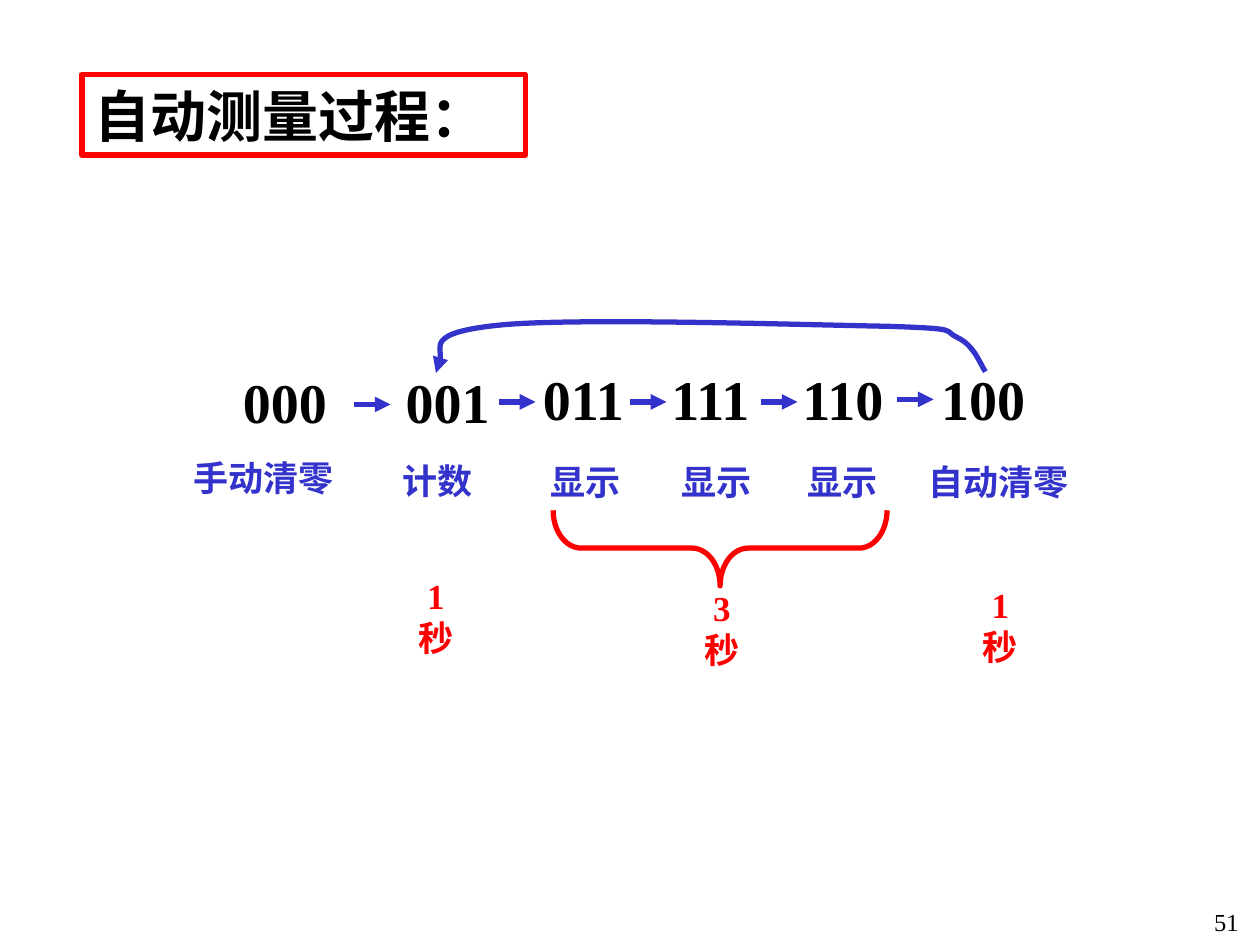
from pptx import Presentation
from pptx.dml.color import RGBColor
from pptx.enum import shapes, text
from pptx.oxml.ns import qn
from pptx.util import Inches, Pt
from lxml import etree

THEME = {
    "font": "Times New Roman",
    "black": RGBColor(0x00, 0x00, 0x00),
    "blue": RGBColor(0x33, 0x33, 0xCC),
    "red": RGBColor(0xFF, 0x00, 0x00),
    "code": 32, "label": 20, "number": 14, "line": 3,
}

# Content
TITLE = "自动测量过程："
PAGE_NUMBER = "51"
# code, code left, code top, label, label left, label top
STATES = [
    ("000", 1.83, 2.86, "手动清零", 1.44, 3.57),
    ("001", 3.12, 2.86, "计数", 3.10, 3.59),
    ("011", 4.21, 2.84, "显示", 4.27, 3.60),
    ("111", 5.23, 2.84, "显示", 5.31, 3.60),
    ("110", 6.27, 2.84, "显示", 6.31, 3.60),
    ("100", 7.37, 2.84, "自动清零", 7.27, 3.60),
]
ARROWS = [(2.81, 3.21), (3.96, 3.19), (5.00, 3.19), (6.04, 3.19), (7.12, 3.17)]
ARROW_LENGTH = 0.29
# text, centre, top
DURATIONS = [("1秒", 3.46, 4.51), ("3秒", 5.73, 4.60), ("1秒", 7.94, 4.58)]
DURATION_WIDTH = 0.6
# Start point, then three Bézier points for each curve
LOOP = [
    (3.46, 2.96),
    (3.54, 2.90), (3.37, 2.64), (3.97, 2.58),
    (4.57, 2.52), (6.44, 2.58), (7.04, 2.59),
    (7.65, 2.61), (7.47, 2.62), (7.60, 2.68),
    (7.73, 2.74), (7.78, 2.89), (7.82, 2.95),
]


def write(box, words, size, color, bold=True, align=text.PP_ALIGN.LEFT,
          anchor=text.MSO_ANCHOR.MIDDLE):
    frame = box.text_frame
    frame.text = words
    frame.word_wrap = True
    frame.auto_size = text.MSO_AUTO_SIZE.NONE
    frame.vertical_anchor = anchor
    paragraph = frame.paragraphs[0]
    paragraph.alignment = align
    font = paragraph.runs[0].font
    font.name, font.size, font.bold = THEME["font"], Pt(THEME[size]), bold
    font.color.rgb = THEME[color]


def add_text(page, place, *args, **options):
    box = page.shapes.add_textbox(*map(Inches, place))
    write(box, *args, **options)


def outline(shape, color, arrow_end=None):
    shape.line.color.rgb = THEME[color]
    shape.line.width = Pt(THEME["line"])
    if arrow_end:
        etree.SubElement(shape.line._get_or_add_ln(), qn(f"a:{arrow_end}"), type="triangle")


def add_arrow(page, left, top):
    arrow = page.shapes.add_connector(
        shapes.MSO_CONNECTOR.STRAIGHT, Inches(left), Inches(top),
        Inches(left + ARROW_LENGTH), Inches(top))
    outline(arrow, "blue", "tailEnd")
    etree.SubElement(arrow._element.spPr, qn("a:effectLst"))


def add_loop(page, points):
    start, *rest = [(Inches(x), Inches(y)) for x, y in points]
    builder = page.shapes.build_freeform(*start)
    builder.add_line_segments(rest, close=False)
    loop = builder.convert_to_shape()
    loop.shadow.inherit = False
    loop.fill.background()
    outline(loop, "blue", "headEnd")
    # Turn every three line segments into one cubic curve
    lines = list(loop._element.iter(qn("a:lnTo")))
    for first in range(0, len(lines), 3):
        curve = etree.Element(qn("a:cubicBezTo"))
        lines[first].addprevious(curve)
        for line in lines[first:first + 3]:
            curve.append(line[0])
            line.getparent().remove(line)


def add_brace(page, left, top, width, height):
    # Drawn upright around the same centre, then turned to point down
    brace = page.shapes.add_shape(
        shapes.MSO_SHAPE.LEFT_BRACE,
        Inches(left + (width - height) / 2), Inches(top + (height - width) / 2),
        Inches(height), Inches(width))
    brace.rotation = 270
    brace.adjustments[0] = 0.37
    brace.shadow.inherit = False
    brace.fill.background()
    outline(brace, "red")


def main():
    deck = Presentation()
    deck.slide_width, deck.slide_height = Inches(10), Inches(7.5)
    page = deck.slides.add_slide(deck.slide_layouts[5])

    # Title
    title = page.shapes.title
    title.left, title.top, title.width, title.height = map(Inches, (0.65, 0.59, 3.52, 0.64))
    write(title, TITLE, "code", "black")
    outline(title, "red")

    # States and their labels
    for code, left, top, label, label_left, label_top in STATES:
        add_text(page, (left, top, 1.08, 0.64), code, "code", "black")
        add_text(page, (label_left, label_top, 1.56, 0.44), label, "label", "blue")

    # Steps and the way back
    for left, top in ARROWS:
        add_arrow(page, left, top)
    add_loop(page, LOOP)

    # Durations
    add_brace(page, 4.39, 4.05, 2.65, 0.6)
    for words, centre, top in DURATIONS:
        place = (centre - DURATION_WIDTH / 2, top, DURATION_WIDTH, 0.77)
        add_text(page, place, words, "label", "red", align=text.PP_ALIGN.CENTER)

    # Page number
    add_text(page, (7.85, 7.15, 2.08, 0.35), PAGE_NUMBER, "number", "black", bold=False,
             align=text.PP_ALIGN.RIGHT, anchor=text.MSO_ANCHOR.TOP)

    deck.save("out.pptx")


if __name__ == "__main__":
    main()
